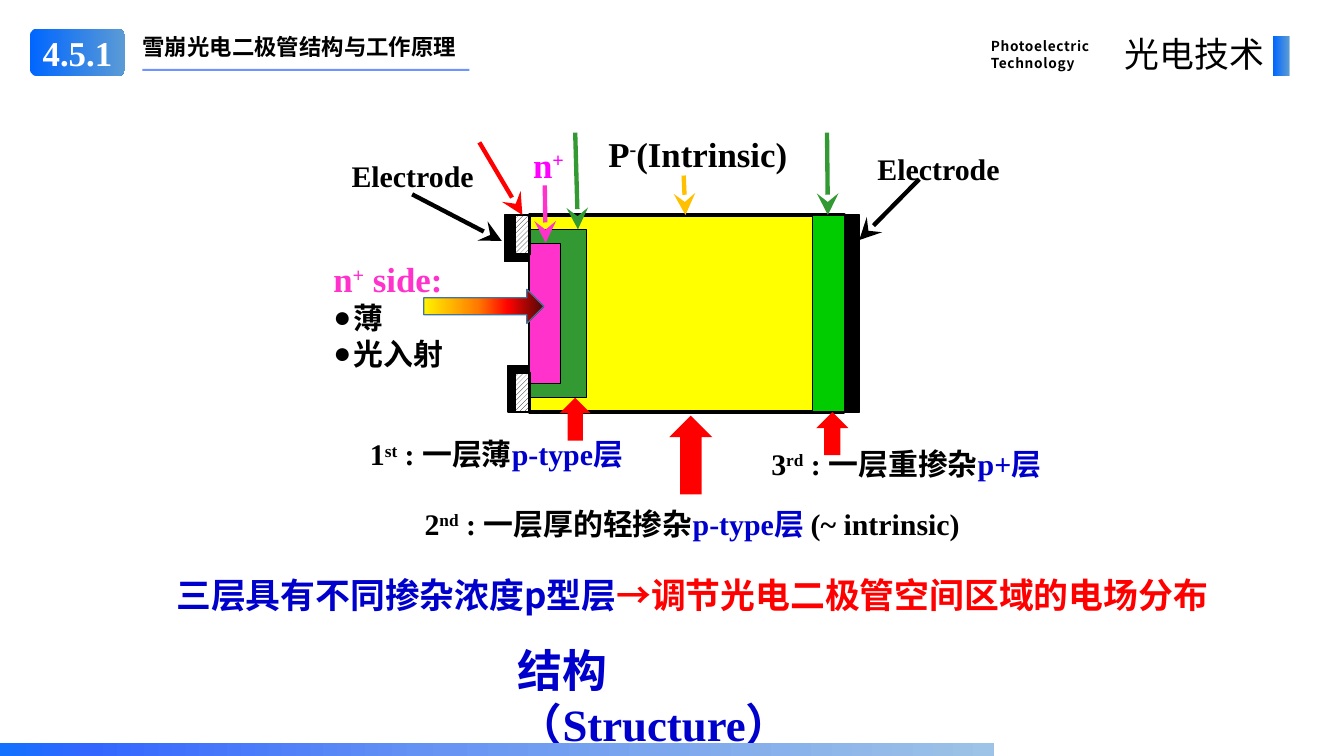
from lxml.etree import SubElement
from pptx import Presentation
from pptx.dml.color import RGBColor
from pptx.enum.dml import MSO_PATTERN
from pptx.enum.shapes import MSO_CONNECTOR, MSO_SHAPE
from pptx.enum.text import MSO_ANCHOR, MSO_AUTO_SIZE, PP_ALIGN
from pptx.oxml.ns import qn
from pptx.util import Inches, Pt

SERIF, SANS = "Times New Roman", "Noto Sans CJK SC"
BLACK, RED, BLUE = "000000", "FF0000", "0000CC"
PINK, GREEN, YELLOW = "FF33CC", "339933", "FFFF00"
BADGE_BLUES = [(0, "0066FF"), (100, "5B9BD5")]
SUPER = {"baseline": 30000}


def rgb(color):
    return RGBColor.from_string(color)


def inches(box, *lengths):
    """Turn left, top, width, height within a box into slide lengths."""
    left, top, *size = lengths
    return [Inches(v) for v in (box[0] + left, box[1] + top, *size)]


def add_run(paragraph, text, size=24, font=SERIF, color=BLACK, bold=True,
            baseline=None, spacing=None):
    run = paragraph.add_run()
    run.text = text
    run.font.size, run.font.name, run.font.bold = Pt(size), font, bold
    run.font.color.rgb = rgb(color)
    props = run.font._element
    east_asian = props.makeelement(qn("a:ea"), {"typeface": SANS})
    props.find(qn("a:latin")).addnext(east_asian)
    if baseline:
        props.set("baseline", str(baseline))
    if spacing:
        props.set("spc", str(spacing))


def write(frame, *lines, align=PP_ALIGN.LEFT, inset=None, leading=None,
          anchor=MSO_ANCHOR.TOP, **style):
    """Each line is a string or a list of (text, format overrides)."""
    frame.word_wrap, frame.auto_size = True, MSO_AUTO_SIZE.NONE
    frame.vertical_anchor = anchor
    if inset is not None:
        frame.margin_left = frame.margin_right = Inches(inset)
        frame.margin_top = frame.margin_bottom = Inches(inset)
    for i, line in enumerate(lines):
        paragraph = frame.add_paragraph() if i else frame.paragraphs[0]
        paragraph.alignment, paragraph.space_before = align, Pt(0)
        if leading:
            paragraph.line_spacing = Pt(leading)
        for text, extra in ([(line, {})] if isinstance(line, str) else line):
            add_run(paragraph, text, **{**style, **extra})


def add_text(slide, box, place, *lines, **style):
    write(slide.shapes.add_textbox(*inches(box, *place)).text_frame, *lines, **style)


def add_block(slide, box, place, fill, line=None, width=1, kind=MSO_SHAPE.RECTANGLE):
    """Fill is a colour, or a list of gradient stops."""
    block = slide.shapes.add_shape(kind, *inches(box, *place))
    block.shadow.inherit = False
    if isinstance(fill, str):
        block.fill.solid()
        block.fill.fore_color.rgb = rgb(fill)
    else:
        block.fill.gradient()
        block.fill.gradient_angle = 0
        stops = block._element.spPr.find(qn("a:gradFill")).find(qn("a:gsLst"))
        for stop in list(stops):
            stops.remove(stop)
        for position, color in fill:
            stop = SubElement(stops, qn("a:gs"), pos=str(position * 1000))
            SubElement(stop, qn("a:srgbClr"), val=color)
    if line:
        block.line.color.rgb, block.line.width = rgb(line), Pt(width)
    else:
        block.line.fill.background()
    return block


def add_line(slide, box, start, end, color, width=3.5, arrow=True, alpha=None):
    line = slide.shapes.add_connector(
        MSO_CONNECTOR.STRAIGHT, *inches(box, *start), *inches(box, *end))
    line.line.color.rgb, line.line.width = rgb(color), Pt(width)
    props = line._element.spPr
    outline = props.find(qn("a:ln"))
    if alpha:
        SubElement(outline.find(".//" + qn("a:srgbClr")), qn("a:alpha"), val=str(alpha * 1000))
    if arrow:
        SubElement(outline, qn("a:tailEnd"), type="stealth", w="lg", len="lg")
    SubElement(props, qn("a:effectLst"))


def move(placeholder, box, place):
    (placeholder.left, placeholder.top,
     placeholder.width, placeholder.height) = inches(box, *place)


def set_bullet(paragraph, symbol=None, indent=0.0):
    props = paragraph._p.get_or_add_pPr()
    props.set("marL", str(Inches(indent)))
    props.set("indent", str(-Inches(indent)))
    if symbol:
        SubElement(props, qn("a:buFont"), typeface=SERIF)
        SubElement(props, qn("a:buChar"), char=symbol)
    else:
        SubElement(props, qn("a:buNone"))


def build_header(slide, box):
    # Section number and title
    badge = add_block(slide, box, (0, 0, 1.07, 0.53), BADGE_BLUES,
                      kind=MSO_SHAPE.ROUNDED_RECTANGLE)
    write(badge.text_frame, "4.5.1", align=PP_ALIGN.CENTER, anchor=MSO_ANCHOR.MIDDLE,
          size=28, color="FFFFFF")
    title = slide.shapes.title
    move(title, box, (1.16, 0, 3.9, 0.4))
    write(title.text_frame, "雪崩光电二极管结构与工作原理", size=18, font=SANS)
    add_line(slide, box, (1.26, 0.46), (4.91, 0.46), "3366FF", 1.5, arrow=False, alpha=70)
    # Course name
    add_text(slide, box, (10.63, 0.04, 1.58, 0.49), "Photoelectric", "Technology",
             size=11, font=SANS, spacing=50, leading=14)
    add_text(slide, box, (11.98, 0, 1.9, 0.57), "光电技术", align=PP_ALIGN.RIGHT,
             size=28, font=SANS, bold=False, spacing=20)
    add_block(slide, box, (13.88, 0.08, 0.18, 0.45), BADGE_BLUES)


def build_diode(slide, box):
    # Semiconductor layers and the right electrode
    for place, color, width in [
        ((0.28, 0, 3.51, 2.2), YELLOW, 3),
        ((3.8, 0, 0.16, 2.2), BLACK, 1),
        ((3.44, 0, 0.36, 2.2), "00CC00", 1),
        ((0.28, 0.16, 0.64, 1.88), GREEN, 1),
        ((0.28, 0.32, 0.35, 1.56), PINK, 1),
        ((0.04, 1.68, 0.24, 0.52), BLACK, 1),
        ((0, 0, 0.28, 0.52), BLACK, 1),
    ]:
        add_block(slide, box, place, color, BLACK, width)
    # Hatched insulation at the left electrodes
    for top in (1.76, 0):
        insulation = add_block(slide, box, (0.11, top, 0.17, 0.44), BLACK, BLACK, 2)
        insulation.fill.patterned()
        insulation.fill.pattern = MSO_PATTERN.WIDE_UPWARD_DIAGONAL
        insulation.fill.fore_color.rgb = rgb(BLACK)
        insulation.fill.back_color.rgb = rgb("FFFFFF")
    # Layer names
    add_text(slide, box, (0.32, -0.8, 0.44, 0.47), [("n", {}), ("+", SUPER)],
             inset=0, size=28, color="FF00FF")
    add_text(slide, box, (1.16, -0.92, 2, 0.47),
             [("P", {}), ("-", SUPER), ("(Intrinsic)", {})], inset=0, size=28)
    for left, top in [(4.04, -0.72), (-1.83, -0.64)]:
        add_text(slide, box, (left, top, 1.61, 0.4), "Electrode",
                 inset=0, align=PP_ALIGN.CENTER)
    # Pointers from the names to the layers
    for start, end, color in [
        ((0.45, -0.33), (0.46, 0.31), PINK),
        ((0.79, -0.92), (0.82, 0.16), GREEN),
        ((2, -0.44), (2.02, 0), "FFC000"),
        ((3.6, -0.92), (3.61, 0), GREEN),
        ((4.63, -0.4), (3.96, 0.28), BLACK),
        ((-0.28, -0.81), (0.2, 0), RED),
        ((-1.03, -0.23), (-0.03, 0.29), BLACK),
    ]:
        add_line(slide, box, start, end, color)


def build_light_side(slide, box):
    light_list = slide.placeholders[1]
    move(light_list, box, (0, 0, 1.49, 1.38))
    heading = {"size": 28, "color": PINK}
    write(light_list.text_frame,
          [("n", heading), ("+", {**heading, **SUPER}), (" side:", heading)],
          "薄", "光入射")
    first, *points = light_list.text_frame.paragraphs
    set_bullet(first)
    for point in points:
        set_bullet(point, "●", 0.23)
    add_block(slide, box, (1.11, 0.4, 1.34, 0.38),
              [(0, "FFF200"), (45, "FF7A00"), (70, "FF0300"), (100, "4D0808")],
              "43739E", kind=MSO_SHAPE.RIGHT_ARROW)


def build_layer_note(slide, box, arrow, note, number, ending, text, layer,
                     tail="", align=PP_ALIGN.LEFT):
    add_block(slide, box, arrow, RED, kind=MSO_SHAPE.UP_ARROW)
    runs = [(number, {}), (ending, SUPER), (f" : {text}", {}), (layer, {"color": BLUE})]
    if tail:
        runs.append((tail, {}))
    add_text(slide, box, note, runs, align=align)


def build_conclusion(slide, box):
    add_text(slide, box, (0, 0, 12.43, 0.57),
             [("三层具有不同掺杂浓度p型层", {"color": BLUE}),
              ("→调节光电二极管空间区域的电场分布", {"color": RED})],
             align=PP_ALIGN.CENTER, size=28, font=SANS)
    add_text(slide, box, (4.17, 0.77, 4.17, 0.71), "结构（Structure）", size=36, color=BLUE)


def build_footer(slide, box):
    add_block(slide, box, (0, 0, 11.09, 0.14),
              [(0, "1271FE"), (9, "3366FF"), (45, "6895F3"), (100, "9DC3E6")])


def main():
    deck = Presentation()
    deck.slide_width, deck.slide_height = Inches(15), Inches(8.44)
    slide = deck.slides.add_slide(deck.slide_layouts[1])
    build_diode(slide, (5.63, 2.4))
    build_conclusion(slide, (1.51, 6.36))
    build_layer_note(slide, (4.03, 4.44), (2.22, 0, 0.34, 0.48), (0, 0.38, 3.07, 0.5),
                     "1", "st", "一层薄", "p-type层")
    build_layer_note(slide, (4.29, 4.64), (3.18, 0, 0.48, 0.88), (0, 0.96, 6.87, 0.51),
                     "2", "nd", "一层厚的轻掺杂", "p-type层", " (~ intrinsic)", PP_ALIGN.CENTER)
    build_layer_note(slide, (8.51, 4.6), (0.6, 0, 0.36, 0.48), (0, 0.33, 3.52, 0.51),
                     "3", "rd", "一层重掺杂", "p+层")
    build_light_side(slide, (3.62, 2.83))
    build_header(slide, (0.33, 0.32))
    build_footer(slide, (0, 8.3))
    deck.save("out.pptx")


if __name__ == "__main__":
    main()
